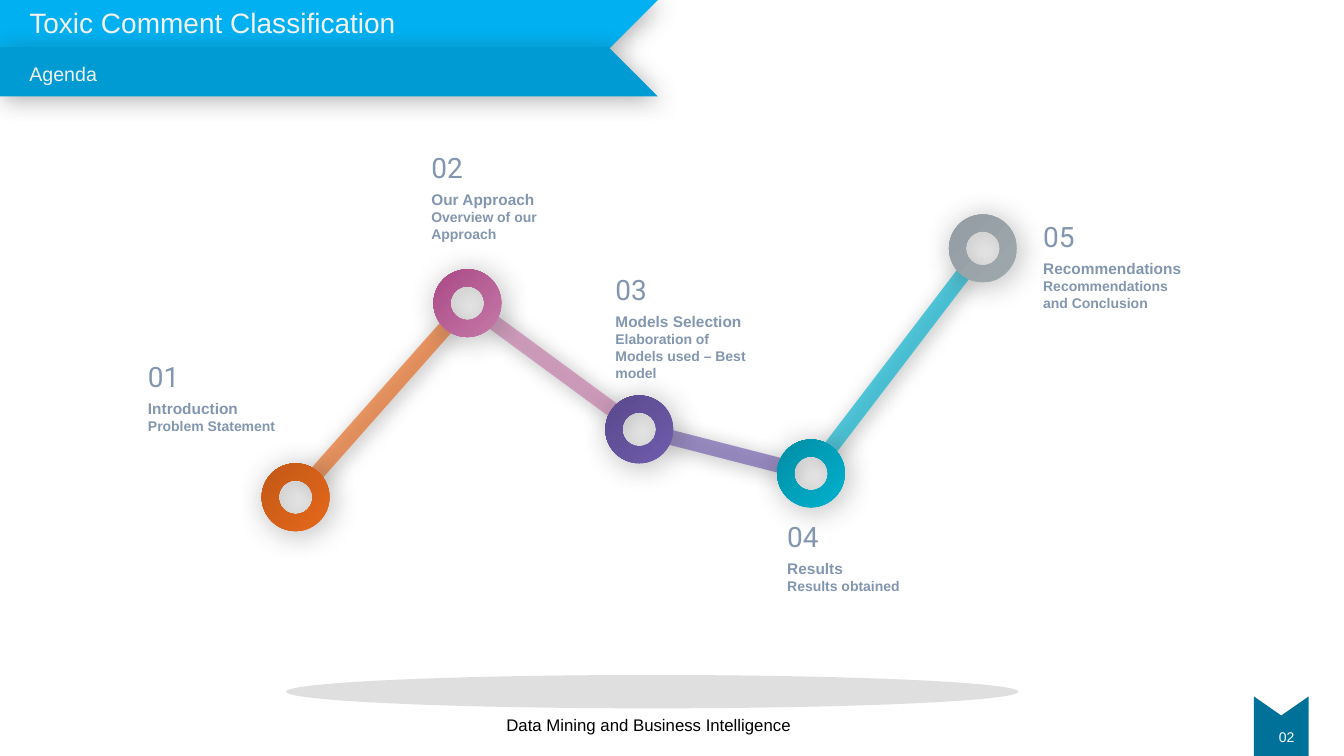
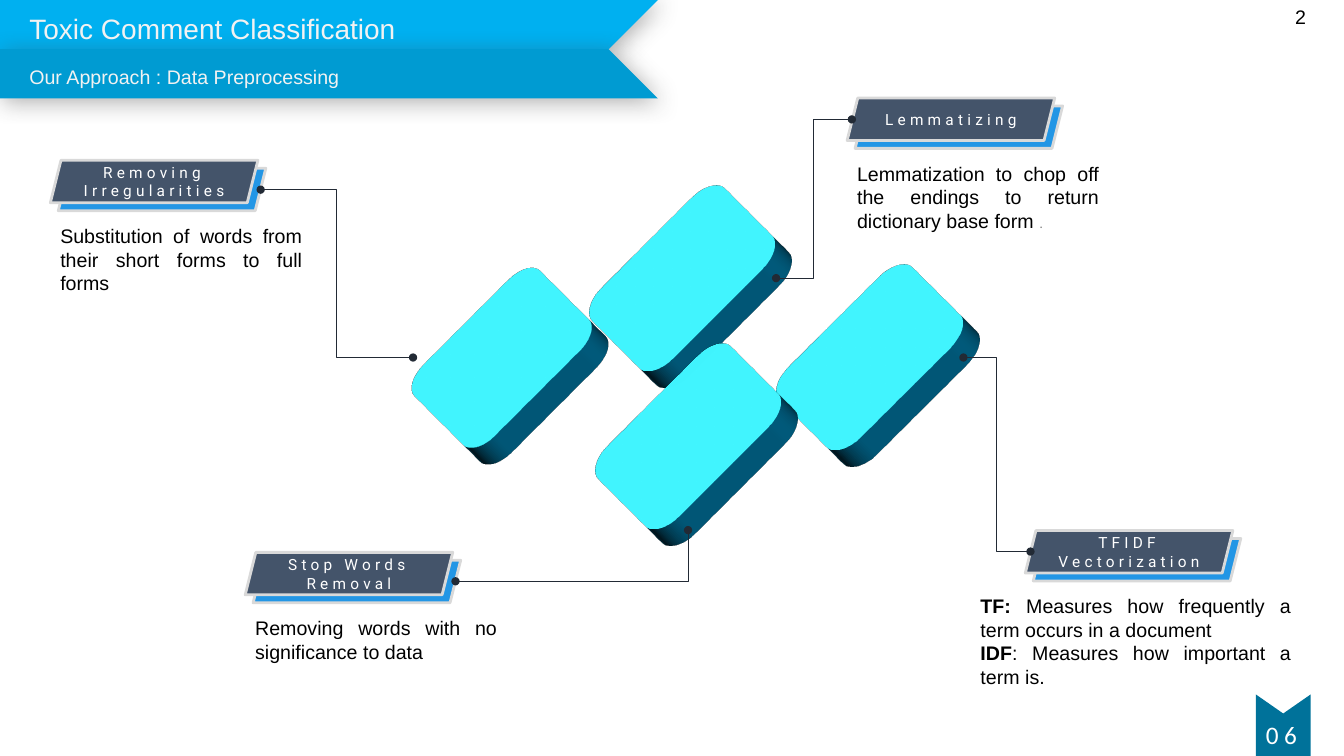
from itertools import pairwise
from math import hypot

from pptx import Presentation
from pptx.dml.color import RGBColor
from pptx.enum.shapes import MSO_CONNECTOR, MSO_SHAPE
from pptx.enum.text import MSO_ANCHOR, PP_ALIGN
from pptx.oxml import parse_xml
from pptx.oxml.ns import nsdecls, qn
from pptx.util import Cm, Pt

WIDTH, HEIGHT = 33.87, 19.05

# Colours
WHITE = RGBColor(0xFF, 0xFF, 0xFF)
BLACK = RGBColor(0x00, 0x00, 0x00)
OFF_WHITE = RGBColor(0xF2, 0xF2, 0xF2)
BAND_LIGHT = RGBColor(0x00, 0xB0, 0xF0)
BAND_DARK = RGBColor(0x00, 0x9B, 0xD2)
RIBBON = RGBColor(0x00, 0x72, 0x9A)
STEP_TEXT = RGBColor(0x82, 0x96, 0xB0)
GROUND = RGBColor(0xD1, 0xD1, 0xD1)
SHADE = RGBColor(0x3F, 0x3F, 0x3F)
LABEL = RGBColor(0x44, 0x54, 0x6A)
LABEL_BACK = RGBColor(0x23, 0x96, 0xE5)
LABEL_EDGE = RGBColor(0xD9, 0xD9, 0xD9)
LEADER = RGBColor(0x22, 0x2A, 0x35)
GREY = RGBColor(0x80, 0x80, 0x80)
NODE_COLOURS = [
    (RGBColor(0xE5, 0x68, 0x1B), RGBColor(0xC2, 0x58, 0x16)),
    (RGBColor(0xC5, 0x79, 0xA8), RGBColor(0xAA, 0x49, 0x86)),
    (RGBColor(0x6F, 0x5C, 0xAC), RGBColor(0x5A, 0x49, 0x8E)),
    (RGBColor(0x01, 0xB2, 0xCF), RGBColor(0x01, 0x8D, 0xA4)),
    (RGBColor(0x9F, 0xA8, 0xAD), RGBColor(0x93, 0x9D, 0xA3)),
]


def write(para, text, size=14, colour=BLACK, font="Arial", bold=False, spacing=0):
    span = para.add_run()
    span.text = text
    span.font.size = Pt(size)
    span.font.name = font
    span.font.bold = bold
    span.font.color.rgb = colour
    if spacing:
        span.font._element.set("spc", str(spacing * 100))


def set_alpha(item, percent):
    for colour in item._element.spPr.iter(qn("a:srgbClr")):
        colour.append(parse_xml(f'<a:alpha {nsdecls("a")} val="{percent * 1000}"/>'))


def set_effects(item, blur=0, colour=SHADE):
    """Replace the theme shadow by none, or by a soft one of the given blur."""
    shadow = ""
    if blur:
        shadow = (f'<a:outerShdw blurRad="{Pt(blur)}" dist="{Pt(3)}" dir="2700000" algn="tl" '
                  f'rotWithShape="0"><a:srgbClr val="{colour}"><a:alpha val="40000"/>'
                  "</a:srgbClr></a:outerShdw>")
    item._element.spPr.append(
        parse_xml(f'<a:effectLst {nsdecls("a")}>{shadow}</a:effectLst>'))


def set_gradient(shape, first, last, angle):
    shape.fill.gradient()
    old = shape._element.spPr.find(qn("a:gradFill"))
    marks = "".join(f'<a:gs pos="{place}"><a:srgbClr val="{colour}"/></a:gs>'
                    for place, colour in ((0, first), (100000, last)))
    new = parse_xml(f'<a:gradFill {nsdecls("a")} rotWithShape="1"><a:gsLst>{marks}</a:gsLst>'
                    f'<a:lin ang="{angle * 60000}" scaled="0"/></a:gradFill>')
    old.getparent().replace(old, new)


def set_depth(shape, depth, tilt, turn):
    """Lay the shape back by tilt, turn it in its plane and make it thick."""
    scene = (f'<a:scene3d {nsdecls("a")}><a:camera prst="orthographicFront">'
             f'<a:rot lat="{int((360 - tilt) * 60000)}" lon="0" rev="{turn * 60000}"/>'
             '</a:camera><a:lightRig rig="threePt" dir="t"/></a:scene3d>')
    solid = f'<a:sp3d {nsdecls("a")} extrusionH="{Pt(depth)}"/>'
    for part in (scene, solid):
        shape._element.spPr.append(parse_xml(part))


class Board:
    """Holds the deck, its style and the current slide."""

    def __init__(self):
        self.deck = Presentation()
        self.deck.slide_width, self.deck.slide_height = Cm(WIDTH), Cm(HEIGHT)
        self.page = None

    def new_page(self):
        self.page = self.deck.slides.add_slide(self.deck.slide_layouts[6])

    def finish(self, shape, fill=None, gradient=None, edge=None, blur=0):
        if gradient:
            set_gradient(shape, *gradient)
        else:
            shape.fill.solid()
            shape.fill.fore_color.rgb = fill
        if edge:
            shape.line.color.rgb = edge
            shape.line.width = Pt(2)
        else:
            shape.line.fill.background()
        set_effects(shape, blur)
        return shape

    def shape(self, kind, left, top, width, height, **look):
        shape = self.page.shapes.add_shape(kind, Cm(left), Cm(top), Cm(width), Cm(height))
        return self.finish(shape, **look)

    def outline(self, points, **look):
        first, *rest = [(Cm(x), Cm(y)) for x, y in points]
        builder = self.page.shapes.build_freeform(*first)
        builder.add_line_segments(rest, close=True)
        return self.finish(builder.convert_to_shape(), **look)

    def line(self, kind, start, end, colour, weight):
        ends = [Cm(value) for value in (*start, *end)]
        line = self.page.shapes.add_connector(kind, *ends)
        line.line.color.rgb = colour
        line.line.width = Pt(weight)
        return line

    def text(self, left, top, width, height, *paragraphs, align=PP_ALIGN.LEFT, **style):
        """Each paragraph is a string or a list of (string, format) pairs."""
        box = self.page.shapes.add_textbox(Cm(left), Cm(top), Cm(width), Cm(height))
        frame = box.text_frame
        frame.word_wrap = True
        for index, spans in enumerate(paragraphs):
            para = frame.add_paragraph() if index else frame.paragraphs[0]
            para.alignment = align
            for words, extra in [(spans, {})] if isinstance(spans, str) else spans:
                write(para, words, **{**style, **extra})

    # Shared parts
    def header(self, subtitle, fold, title_top, subtitle_top):
        tip, notch, band = 16.58, 15.34, 1.24
        for outer, inner, colour in ((0, band, BAND_LIGHT), (fold + band, fold, BAND_DARK)):
            self.outline([(0, outer), (tip, outer), (notch, inner), (0, inner)],
                         fill=colour, blur=17)
        self.text(0.49, title_top, 15.14, 1.12, "Toxic Comment Classification",
                  size=20, colour=OFF_WHITE)
        self.text(0.49, subtitle_top, 15.14, 0.86, subtitle, colour=OFF_WHITE)

    def ribbon(self, left, top):
        width = 1.38
        self.outline([(left, HEIGHT), (left, top), (left + width / 2, top + 0.48),
                      (left + width, top), (left + width, HEIGHT)], fill=RIBBON)

    # Agenda parts
    def link(self, start, end, colour):
        """Bar between two nodes, its ends hidden under their rings."""
        across, down = end[0] - start[0], end[1] - start[1]
        share = 0.64 / hypot(across, down)
        line = self.line(
            MSO_CONNECTOR.STRAIGHT,
            (start[0] + across * share, start[1] + down * share),
            (end[0] - across * share, end[1] - down * share), colour, 10.75)
        set_alpha(line, 65)
        set_effects(line, 15, BLACK)

    def node(self, centre, light, dark):
        size = 1.71
        self.shape(MSO_SHAPE.DONUT, centre[0] - size / 2, centre[1] - size / 2, size, size,
                   gradient=(light, dark, 225), blur=20)

    def step(self, left, top, number, heading, detail):
        self.text(left, top, 3.78, 1.12, number, size=20, font="Roboto", colour=STEP_TEXT)
        self.text(left, top + 1, 4.67, 0.74, heading, size=11, bold=True, colour=STEP_TEXT)
        self.text(left, top + 1.46, 4.09, 1.12, detail, size=10, bold=True, colour=STEP_TEXT)

    # Preprocessing parts
    def tile(self, left, top, width):
        tile = self.shape(MSO_SHAPE.ROUNDED_RECTANGLE, left, top, width, 4.72, fill=BAND_LIGHT)
        set_depth(tile, depth=20, tilt=57.5, turn=45)

    def label(self, left, top, words):
        size, offset = (5.23, 1.07), 0.2
        self.shape(MSO_SHAPE.PARALLELOGRAM, left + offset, top + offset, *size,
                   fill=LABEL_BACK, edge=LABEL_EDGE)
        front = self.shape(MSO_SHAPE.PARALLELOGRAM, left, top, *size,
                           fill=LABEL, edge=LABEL_EDGE)
        front.text_frame.word_wrap = True
        front.text_frame.vertical_anchor = MSO_ANCHOR.MIDDLE
        para = front.text_frame.paragraphs[0]
        para.alignment = PP_ALIGN.CENTER
        write(para, words, size=11, colour=WHITE, font="Roboto", spacing=3)

    def leader(self, start, end, single_bend=False):
        line = self.line(MSO_CONNECTOR.ELBOW, start, end, LEADER, 0.75)
        properties = line._element.spPr
        if single_bend:
            properties.find(qn("a:prstGeom")).set("prst", "bentConnector2")
        for tag in ("headEnd", "tailEnd"):
            properties.find(qn("a:ln")).append(
                parse_xml(f'<a:{tag} {nsdecls("a")} type="oval"/>'))
        set_effects(line)


def agenda(board):
    board.new_page()
    centres = [(7.45 + 4.33 * index, y)
               for index, y in enumerate((12.53, 7.64, 10.82, 11.93, 6.26))]
    for (start, end), (light, _) in zip(pairwise(centres), NODE_COLOURS):
        board.link(start, end, light)
    for centre, colours in zip(centres, NODE_COLOURS):
        board.node(centre, *colours)
    ground = board.shape(MSO_SHAPE.OVAL, 7.21, 17.01, 18.45, 0.84, fill=GROUND)
    set_alpha(ground, 68)

    steps = [
        (3.48, 8.94, "Introduction", "Problem Statement"),
        (10.62, 3.67, "Our Approach", "Overview of our Approach"),
        (15.26, 6.75, "Models Selection", "Elaboration of Models used – Best model"),
        (19.59, 12.97, "Results", "Results obtained"),
        (26.04, 5.41, "Recommendations", "Recommendations and Conclusion"),
    ]
    for number, (left, top, heading, detail) in enumerate(steps, 1):
        board.step(left, top, f"{number:02}", heading, detail)

    board.header("Agenda", fold=1.19, title_top=0.01, subtitle_top=1.44)
    board.ribbon(31.6, 17.55)
    board.text(31.6, 18.24, 1.65, 0.69, "02", size=10, colour=WHITE, align=PP_ALIGN.CENTER)
    board.text(7.14, 17.88, 18.42, 0.76, "Data Mining and Business Intelligence",
               size=12, align=PP_ALIGN.CENTER)


def preprocessing(board):
    board.new_page()
    for left, top, width in ((10.41, 6.65, 4.45), (14.83, 4.65, 4.72),
                             (19.56, 6.65, 4.72), (14.98, 8.64, 4.72)):
        board.tile(left, top, width)

    bold = {"bold": True}
    # Label left and top, label, text left and width, paragraphs
    topics = [
        (1.27, 4.04, "Removing Irregularities", 1.27, 6.6,
         ["Substitution of words from their short forms to full forms"]),
        (6.18, 13.92, "Stop Words Removal", 6.18, 6.6,
         ["Removing words with no significance to data"]),
        (25.84, 13.37, "TFIDF Vectorization", 24.46, 8.33,
         [[("TF:", bold), (" Measures how frequently a term occurs in a document", {})],
          [("IDF", bold), (": Measures how important a term is.", {})]]),
        (21.35, 2.47, "Lemmatizing", 21.35, 6.6,
         [[("Lemmatization to chop off the endings to return dictionary base form ", {}),
           (".", {"size": 10.5, "font": "Roboto", "colour": GREY})]]),
    ]
    for left, top, words, text_left, text_width, paragraphs in topics:
        board.label(left, top, words)
        board.text(text_left, top + 1.48, text_width, 2.06, *paragraphs,
                   align=PP_ALIGN.JUSTIFY)

    board.leader((6.57, 4.78), (10.41, 9.01))
    board.leader((11.48, 14.65), (17.34, 13.36), single_bend=True)
    board.leader((24.28, 9.01), (25.97, 13.9))
    board.leader((21.47, 3.01), (19.56, 7.01))

    board.text(32.39, 0, 1.47, 1.02, "2")
    board.ribbon(31.65, 17.5)
    board.text(31.65, 17.99, 1.37, 1.02, "0 6", size=18, colour=WHITE, font="Calibri")
    board.header("Our Approach : Data Preprocessing", fold=1.24, title_top=0.17,
                 subtitle_top=1.5)


def main():
    board = Board()
    agenda(board)
    preprocessing(board)
    board.deck.save("out.pptx")


if __name__ == "__main__":
    main()
